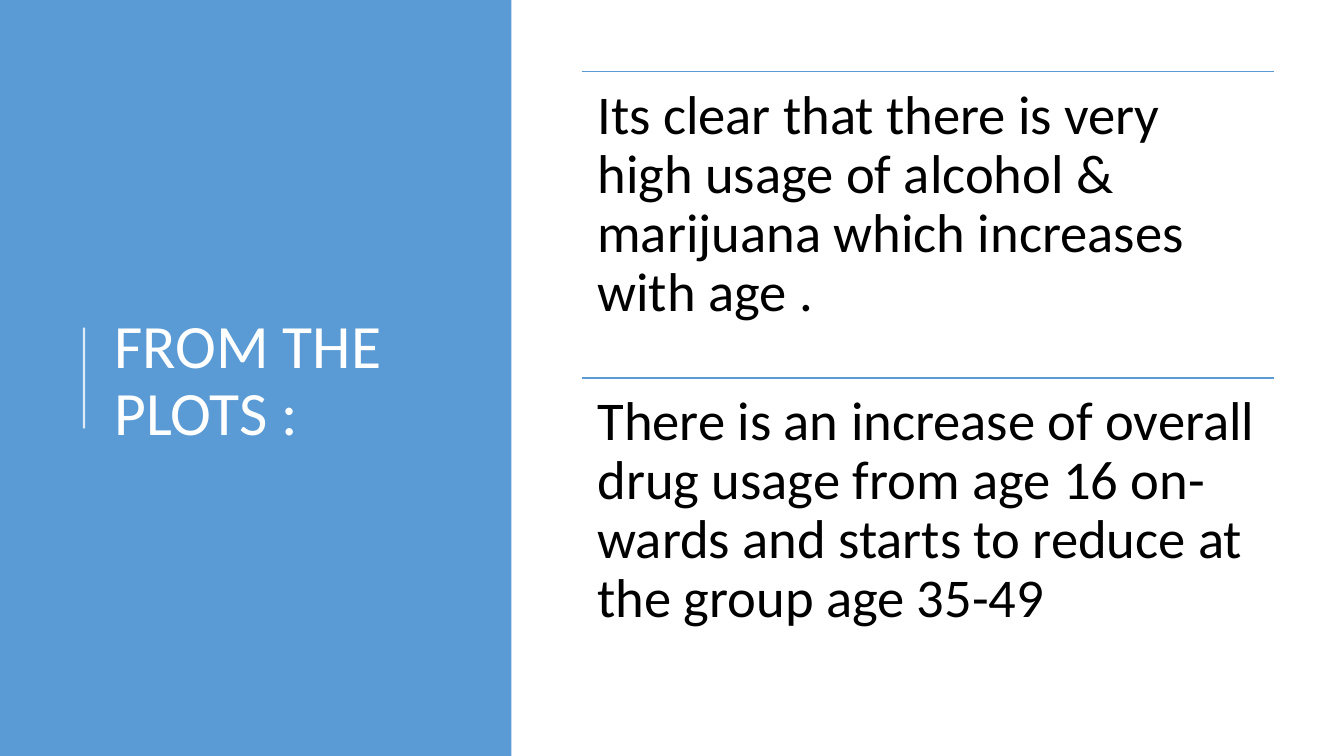
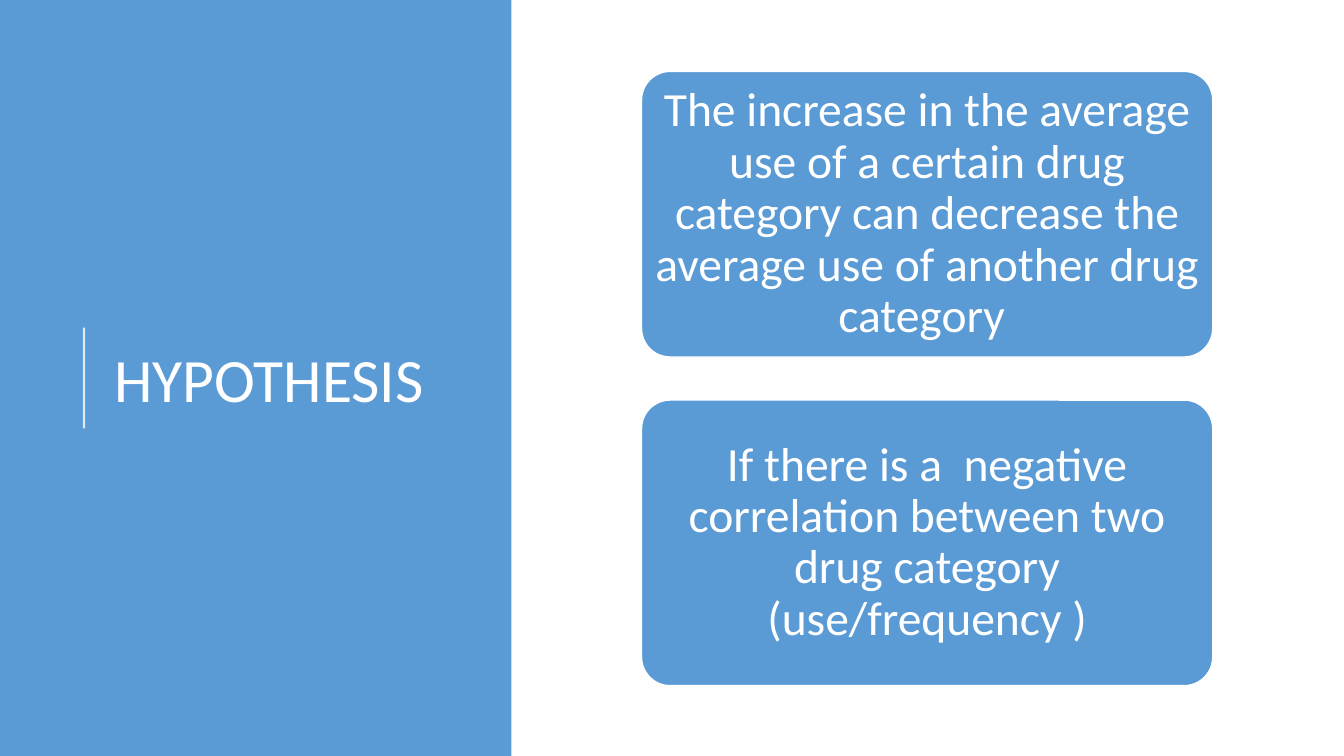
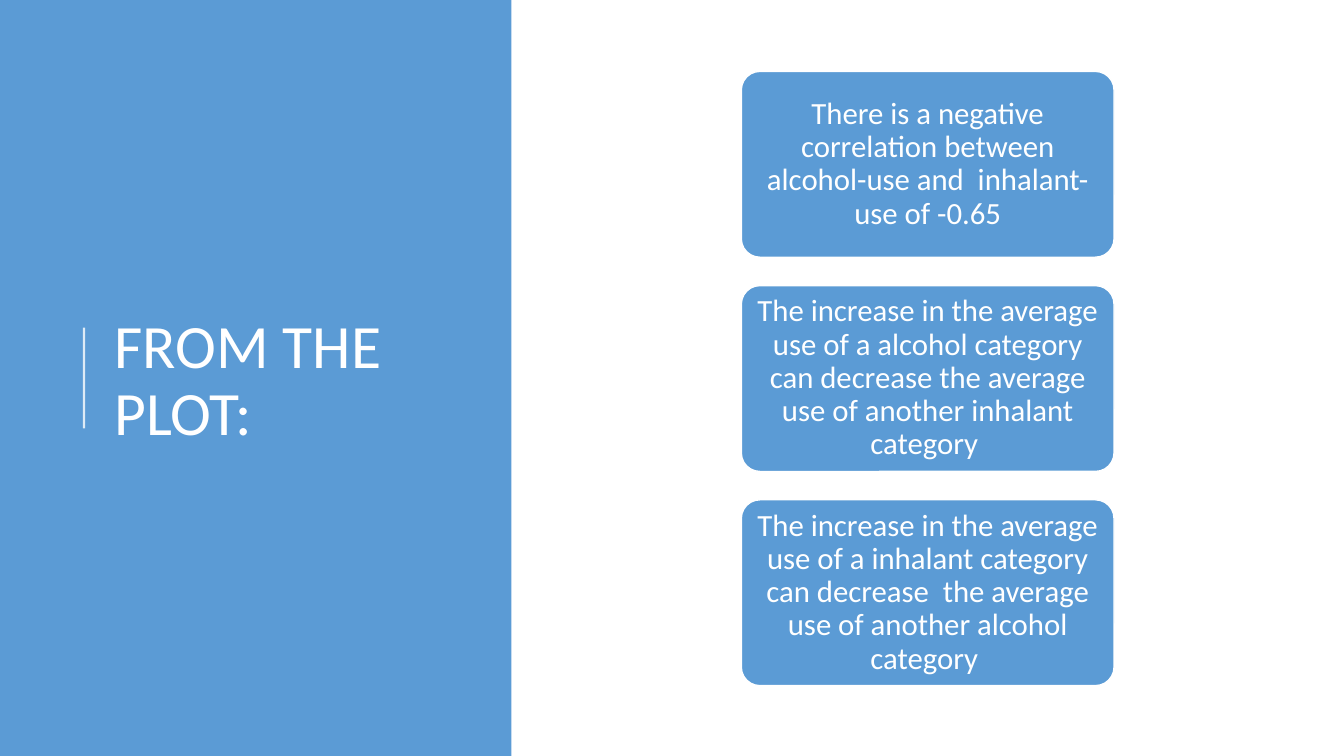
from lxml import etree
from pptx import Presentation
from pptx.dml.color import RGBColor
from pptx.enum.shapes import MSO_CONNECTOR, MSO_SHAPE
from pptx.enum.text import MSO_ANCHOR, PP_ALIGN
from pptx.oxml.ns import qn
from pptx.util import Pt

RECT, ROUNDED = MSO_SHAPE.RECTANGLE, MSO_SHAPE.ROUNDED_RECTANGLE
STRAIGHT = MSO_CONNECTOR.STRAIGHT
TOP, MIDDLE = MSO_ANCHOR.TOP, MSO_ANCHOR.MIDDLE
LEFT, CENTER = PP_ALIGN.LEFT, PP_ALIGN.CENTER

BLUE = RGBColor(0x5B, 0x9B, 0xD5)
WHITE = RGBColor(0xFF, 0xFF, 0xFF)
BLACK = RGBColor(0x00, 0x00, 0x00)
FONT = "Calibri"

# Layout in px, 96 to the inch
EMU_PER_PX = 9525
SLIDE_W, SLIDE_H = 1280, 720
PANEL_W = 487
BODY_X, BODY_Y, BODY_W, BODY_H = 554, 68, 659, 585
CARD_RATIO, CARD_GAP = 2, 0.15  # width and gap relative to card height

STATEMENTS = [
    "Its clear that there is very high usage of alcohol & marijuana "
    "which increases with age .",
    "There is an increase of overall drug usage from age 16 on-wards "
    "and starts to reduce at the group age 35-49",
]
HYPOTHESES = [
    "The increase in the average use of a certain drug category can "
    "decrease the average use of another drug category ",
    "If there is a  negative correlation between two drug category "
    "(use/frequency )",
]
FINDINGS = [
    "There is a negative correlation between alcohol-use and  "
    "inhalant-use of -0.65",
    "The increase in the average use of a alcohol category can decrease "
    "the average use of another inhalant category ",
    "The increase in the average use of a inhalant category can decrease  "
    "the average use of another alcohol category ",
]


def px(value):
    return round(value) * EMU_PER_PX


def box(*lengths):
    return [px(v) for v in lengths]


def set_text(shape, text, size, color, align=LEFT, anchor=TOP, inset=(10, 5)):
    tf = shape.text_frame
    tf.word_wrap = True
    tf.vertical_anchor = anchor
    tf.margin_left = tf.margin_right = px(inset[0])
    tf.margin_top = tf.margin_bottom = px(inset[1])
    tf.text = text
    p = tf.paragraphs[0]
    p.alignment = align
    p.line_spacing = 0.9
    font = p.runs[0].font
    font.name, font.size, font.color.rgb = FONT, Pt(size), color


def add_text(s, x, y, w, h, *args, **style):
    set_text(s.shapes.add_textbox(*box(x, y, w, h)), *args, **style)


def add_block(s, preset, x, y, w, h):
    block = s.shapes.add_shape(preset, *box(x, y, w, h))
    block.shadow.inherit = False
    block.fill.solid()
    block.fill.fore_color.rgb = BLUE
    block.line.fill.background()
    return block


def add_rule(s, x1, y1, x2, y2, color, width, opacity=100):
    rule = s.shapes.add_connector(STRAIGHT, *box(x1, y1, x2, y2))
    rule.line.color.rgb = color
    rule.line.width = Pt(width)
    sp_pr = rule._element.spPr
    if opacity < 100:
        rgb = sp_pr.find(".//" + qn("a:srgbClr"))
        etree.SubElement(rgb, qn("a:alpha"), val=str(opacity * 1000))
    etree.SubElement(sp_pr, qn("a:effectLst"))


def add_titled_slide(prs, title):
    """Slide with the blue side panel, accent line and title."""
    s = prs.slides.add_slide(prs.slide_layouts[6])
    add_block(s, RECT, 0, 0, PANEL_W, SLIDE_H)
    add_rule(s, 80, 408, 80, 312, WHITE, 1.5, opacity=80)
    add_text(s, 99, 75, 354, 578, title, 44, WHITE, anchor=MIDDLE)
    return s


def add_ruled_list(s, texts, size):
    """Equal rows, each under a thin line."""
    row_h = BODY_H / len(texts)
    for i, text in enumerate(texts):
        y = BODY_Y + i * row_h
        add_rule(s, BODY_X, y, BODY_X + BODY_W, y, BLUE, 1)
        add_text(s, BODY_X, y, BODY_W, row_h, text, size, BLACK, inset=(15, 15))


def add_card_stack(s, texts, size):
    """Cards that fill the body height, centred across it."""
    n = len(texts)
    card_h = BODY_H / (n + (n - 1) * CARD_GAP)
    card_w = card_h * CARD_RATIO
    x = BODY_X + (BODY_W - card_w) / 2
    for i, text in enumerate(texts):
        y = BODY_Y + i * card_h * (1 + CARD_GAP)
        card = add_block(s, ROUNDED, x, y, card_w, card_h)
        card.adjustments[0] = 0.1
        card.line.color.rgb = WHITE
        card.line.width = Pt(1)
        set_text(card, text, size, WHITE, CENTER, MIDDLE, inset=(2, 2))


def main():
    prs = Presentation()
    prs.slide_width, prs.slide_height = box(SLIDE_W, SLIDE_H)

    add_ruled_list(add_titled_slide(prs, "FROM THE PLOTS :"), STATEMENTS, 39)
    add_card_stack(add_titled_slide(prs, "HYPOTHESIS"), HYPOTHESES, 34)
    add_card_stack(add_titled_slide(prs, "FROM THE PLOT:"), FINDINGS, 22)

    prs.save("out.pptx")


if __name__ == "__main__":
    main()
